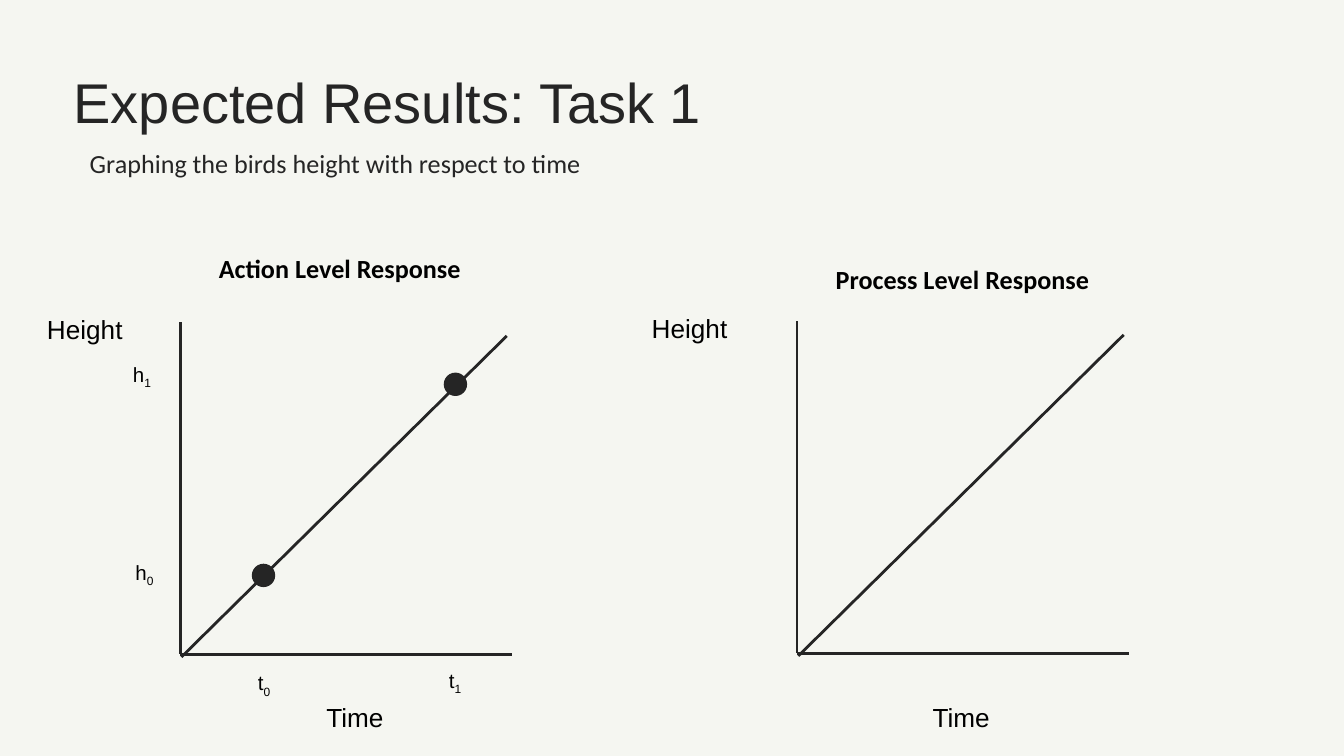
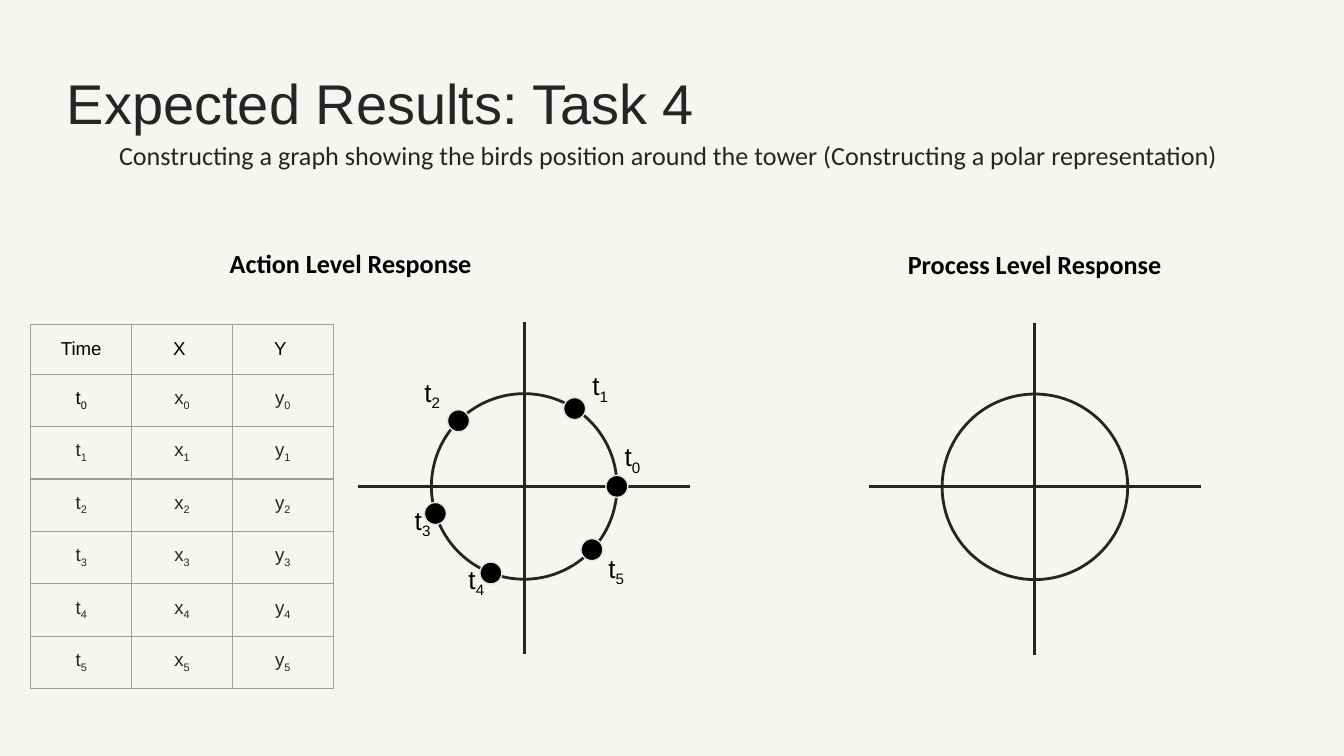
from dataclasses import dataclass
from math import cos, radians, sin

from lxml.etree import SubElement
from pptx import Presentation
from pptx.dml.color import RGBColor
from pptx.enum.shapes import MSO_CONNECTOR as CONN, MSO_SHAPE as SHAPE
from pptx.enum.text import PP_ALIGN as ALIGN
from pptx.oxml.ns import qn
from pptx.util import Pt


@dataclass(frozen=True)
class Theme:
    paper: str = "F5F6F1"
    ink: str = "252525"
    black: str = "000000"
    dot_edge: str = "E5E5DB"
    grid: str = "9E9E9E"
    sans: str = "Arial"
    body: str = "Calibri"
    title_size: float = 30
    text_size: float = 14
    tick_size: float = 11
    cell_size: float = 10
    line: float = 1.5
    hairline: float = 0.75
    dot: float = 11.8


T = Theme()

# Content: boxes are (left, top, width, height) in points, "_" starts a subscript
TASK_1 = {
    "title": ("Expected Results: Task 1", (32.4, 25.2, 448, 54)),
    "subtitle": ("Graphing the birds height with respect to time",
                 (41, 72, 448, 35.3), ALIGN.LEFT),
    "headings": [("Action Level Response", (110.2, 128.2, 161.3, 31.7)),
                 ("Process Level Response", (440.6, 133.9, 191.5, 31.7))],
    "origins": [(96.5, 350.6), (427, 350)],
    "axis_names": [("Height", 6.5, 160.5), ("Time", 151.2, 368.6),
                   ("Height", 330.5, 160), ("Time", 476, 368.6)],
    "ticks": [("t_0", 121.7, 352), ("t_1", 224, 350.6),
              ("h_1", 56.2, 186.5), ("h_0", 57.6, 293)],
    "dots": [(141.2, 308.3), (244, 205.9)],
}
TASK_4 = {
    "title": ("Expected Results: Task 4", (28.8, 26, 524, 41.8)),
    "subtitle": ("Constructing a graph showing the birds position around the tower "
                 "(Constructing a polar representation)",
                 (28.8, 67.7, 658.8, 36), ALIGN.CENTER),
    "headings": [("Action Level Response", (107.3, 125.3, 161.3, 31.7)),
                 ("Process Level Response", (458.6, 126, 191.5, 31.7))],
    "centers": [(280.8, 260.6), (554.4, 260.8)],
    # label, angle in degrees, label left, label top
    "points": [("t_0", 0, 319, 229), ("t_1", 57, 301.7, 190.8),
               ("t_2", 135, 211.7, 194.4), ("t_3", 197, 206.6, 262.8),
               ("t_4", 249, 235.4, 294.5), ("t_5", 317, 310.3, 288.7)],
    "table": [("Time", "X ", "Y ")]
             + [tuple(f"{name}_{i}" for name in "txy") for i in range(6)],
}
AXIS = 178
RADIUS = 49.7


def rgb(value):
    return RGBColor.from_string(value)


def write(tf, text, size, font=T.sans, color=T.black, align=ALIGN.CENTER, bold=False):
    p = tf.paragraphs[0]
    p.alignment = align
    p.font.size, p.font.name, p.font.bold = Pt(size), font, bold
    p.font.color.rgb = rgb(color)
    base, _, sub = text.partition("_")
    p.add_run().text = base
    if sub:
        r = p.add_run()
        r.text = sub
        r.font._element.set("baseline", "-25000")
    return p


def set_margins(o):
    o.margin_left = o.margin_right = o.margin_top = o.margin_bottom = Pt(7.2)


def add_text(s, text, box, size=T.text_size, **style):
    tf = s.shapes.add_textbox(*map(Pt, box)).text_frame
    tf.word_wrap = True
    set_margins(tf)
    return write(tf, text, size, **style)


def add_line(s, x1, y1, x2, y2):
    c = s.shapes.add_connector(CONN.STRAIGHT, *map(Pt, (x1, y1, x2, y2)))
    c.line.color.rgb, c.line.width = rgb(T.ink), Pt(T.line)
    SubElement(c._element.spPr, qn("a:effectLst"))


def add_circle(s, x, y, radius, edge, width, fill=None):
    sp = s.shapes.add_shape(SHAPE.OVAL, Pt(x - radius), Pt(y - radius),
                            Pt(2 * radius), Pt(2 * radius))
    sp.shadow.inherit = False
    sp.line.color.rgb, sp.line.width = rgb(edge), Pt(width)
    if fill:
        sp.fill.solid()
        sp.fill.fore_color.rgb = rgb(fill)
    else:
        sp.fill.background()


def add_cell_borders(cell):
    tc_pr = cell._tc.get_or_add_tcPr()
    for side in ("lnL", "lnR", "lnT", "lnB"):
        ln = SubElement(tc_pr, qn(f"a:{side}"), w=str(Pt(T.hairline)))
        fill = SubElement(ln, qn("a:solidFill"))
        SubElement(fill, qn("a:srgbClr"), val=T.grid)


def add_table(s, rows, left, top):
    col_width, head_height, row_height = 54, 26, 22.4
    height = head_height + row_height * (len(rows) - 1)
    table = s.shapes.add_table(len(rows), len(rows[0]), Pt(left), Pt(top),
                               Pt(col_width * len(rows[0])), Pt(height)).table
    table.first_row = table.horz_banding = False
    for col in table.columns:
        col.width = Pt(col_width)
    for i, row in enumerate(rows):
        table.rows[i].height = Pt(row_height if i else head_height)
        for j, text in enumerate(row):
            cell = table.cell(i, j)
            set_margins(cell)
            add_cell_borders(cell)
            cell.fill.background()
            color = T.black if i == 0 or text == "t_0" else T.ink
            write(cell.text_frame, text, T.cell_size, color=color)


def start_slide(prs, task, heading_align):
    s = prs.slides.add_slide(prs.slide_layouts[6])
    s.background.fill.solid()
    s.background.fill.fore_color.rgb = rgb(T.paper)
    text, box = task["title"]
    p = add_text(s, text, box, T.title_size, color=T.ink, align=ALIGN.LEFT)
    p.line_spacing = 1.1
    text, box, align = task["subtitle"]
    p = add_text(s, text, box, font=T.body, color=T.ink, align=align)
    p.space_after = Pt(16)
    for text, box in task["headings"]:
        add_text(s, text, box, font=T.body, align=heading_align, bold=True)
    return s


def build_task_1(prs):
    s = start_slide(prs, TASK_1, ALIGN.LEFT)
    # Axes and the rising line
    for x, y in TASK_1["origins"]:
        add_line(s, x, y, x + AXIS, y)
        add_line(s, x, y - AXIS, x, y)
        add_line(s, x + 0.7, y + 1.4, x + 175, y - 170.6)
    for x, y in TASK_1["dots"]:
        add_circle(s, x, y, T.dot / 2, T.ink, T.hairline, T.ink)
    # Axis names and tick labels
    for text, x, y in TASK_1["axis_names"]:
        add_text(s, text, (x, y, 77.8, 31.7))
    for text, x, y in TASK_1["ticks"]:
        add_text(s, text, (x, y, 39.6, 28), T.tick_size)


def build_task_4(prs):
    s = start_slide(prs, TASK_4, ALIGN.CENTER)
    add_table(s, TASK_4["table"], 16.5, 174)
    # Crossed axes with a circle
    half = AXIS / 2
    for x, y in TASK_4["centers"]:
        add_line(s, x - half, y, x + half, y)
        add_line(s, x, y + 1 - half, x, y + 1 + half)
        add_circle(s, x, y, RADIUS, T.ink, T.line)
    # Labelled points around the first circle
    cx, cy = TASK_4["centers"][0]
    for text, angle, left, top in TASK_4["points"]:
        a = radians(angle)
        add_circle(s, cx + RADIUS * cos(a), cy - RADIUS * sin(a),
                   T.dot / 2, T.dot_edge, T.hairline, T.black)
        add_text(s, text, (left, top, 39.6, 31.7))


def main():
    prs = Presentation()
    prs.slide_width, prs.slide_height = Pt(720), Pt(405)
    build_task_1(prs)
    build_task_4(prs)
    prs.save("out.pptx")


if __name__ == "__main__":
    main()
